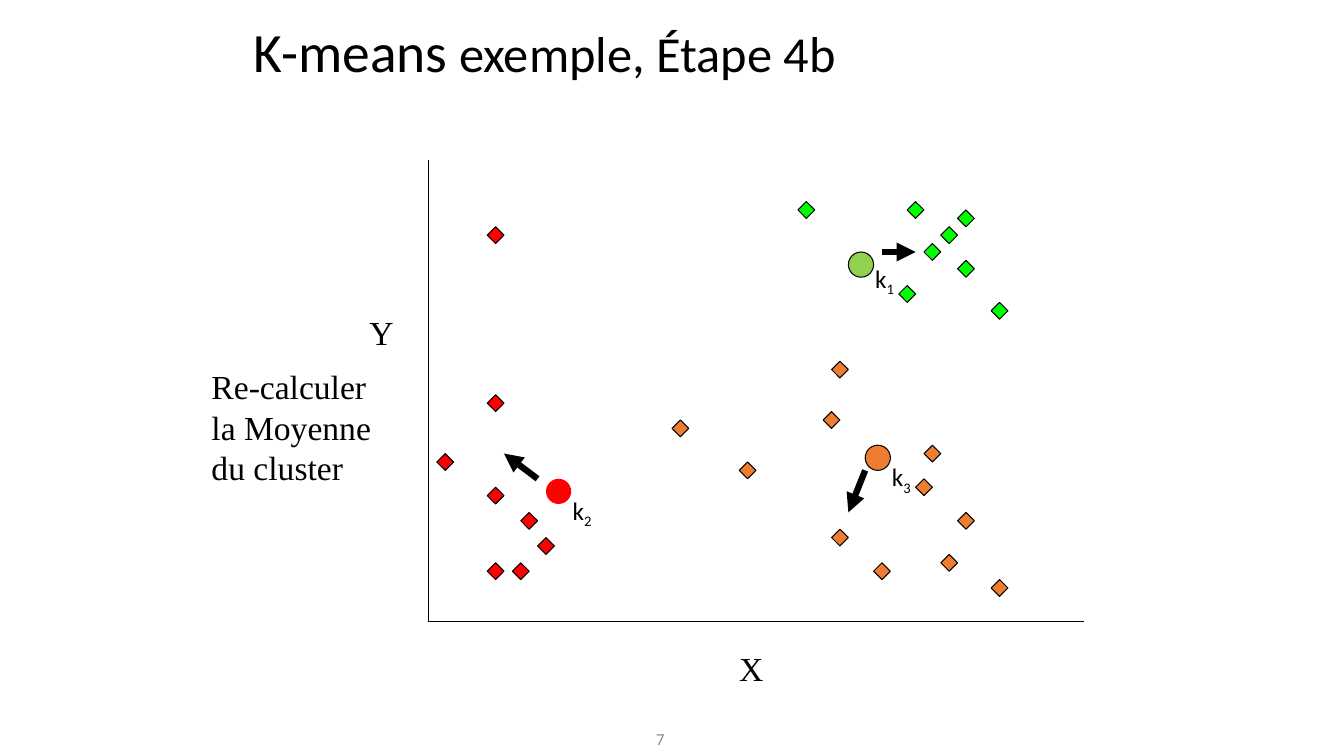
from lxml.etree import SubElement
from pptx import Presentation
from pptx.dml.color import RGBColor
from pptx.enum.shapes import MSO_CONNECTOR, MSO_SHAPE
from pptx.enum.text import MSO_ANCHOR as Anchor, MSO_AUTO_SIZE as AutoSize, PP_ALIGN as Align
from pptx.oxml.ns import qn
from pptx.util import Cm, Pt

BLACK = RGBColor(0x00, 0x00, 0x00)
GREY = RGBColor(0x8C, 0x8C, 0x8C)
RED = RGBColor(0xFF, 0x00, 0x00)
GREEN = RGBColor(0x00, 0xFF, 0x00)
LEAF = RGBColor(0x92, 0xD0, 0x50)
ORANGE = RGBColor(0xED, 0x7D, 0x31)

SANS = "Calibri"
SERIF = "Times New Roman"

# Positions are in grid steps, 12 steps to 2.54 cm.
CLUSTERS = {
    RED: [(62, 61), (64, 64), (61, 67), (58, 58), (58, 27), (58, 47), (58, 67), (52, 54)],
    GREEN: [(108, 24), (114, 25), (112, 27), (110, 29), (114, 31), (118, 36), (95, 24),
            (107, 34)],
    ORANGE: [(80, 50), (99, 43), (99, 63), (104, 67), (109, 57), (98, 49), (88, 55),
             (114, 61), (112, 66), (110, 53), (118, 69)],
}
# index, centre colour, outline, position, label height
CENTRES = [
    ("1", LEAF, BLACK, (101, 30), 4.8),
    ("3", ORANGE, BLACK, (103, 53), 6),
    ("2", RED, None, (65, 57), 6),
]
MOVES = [((64, 57), (60, 54)), ((103, 56), (101, 61)), ((105, 30), (109, 30))]
ORIGIN, Y_END, X_END = (51, 74), (51, 19), (129, 74)


def grid(*steps):
    return [Cm(2.54 * step / 12) for step in steps]


def write(paragraph, text, font=SANS, size=18, color=BLACK, subscript=False):
    run = paragraph.add_run()
    run.text = text
    run.font.name = font
    run.font.size = Pt(size)
    run.font.color.rgb = color
    if subscript:
        run._r.get_or_add_rPr().set("baseline", "-25000")


class ClusterSlide:
    def __init__(self, presentation):
        self.slide = presentation.slides.add_slide(presentation.slide_layouts[5])
        self.shapes = self.slide.shapes
        self.thin, self.thick = Pt(0.75), Pt(4.5)

    def title(self, box, parts):
        title = self.shapes.title
        title.left, title.top, title.width, title.height = grid(*box)
        frame = title.text_frame
        frame.auto_size = AutoSize.NONE
        frame.vertical_anchor = Anchor.MIDDLE
        paragraph = frame.paragraphs[0]
        paragraph.alignment = Align.LEFT
        paragraph.line_spacing = 0.9
        for text, size in parts:
            write(paragraph, text, size=size)

    def text(self, box, text, anchor=Anchor.TOP, align=Align.LEFT, wrap=True, **style):
        frame = self.shapes.add_textbox(*grid(*box)).text_frame
        frame.word_wrap = wrap
        frame.vertical_anchor = anchor
        paragraph = frame.paragraphs[0]
        paragraph.alignment = align
        write(paragraph, text, **style)
        return paragraph

    def marker(self, preset, position, size, fill, outline=BLACK):
        marker = self.shapes.add_shape(preset, *grid(*position, size, size))
        marker.shadow.inherit = False
        marker.fill.solid()
        marker.fill.fore_color.rgb = fill
        if outline is None:
            marker.line.fill.background()
        else:
            marker.line.color.rgb = outline
            marker.line.width = self.thin

    def line(self, start, end, arrow=False):
        line = self.shapes.add_connector(MSO_CONNECTOR.STRAIGHT, *grid(*start, *end))
        line.line.color.rgb = BLACK
        line.line.width = self.thick if arrow else self.thin
        if arrow:
            SubElement(line.line._get_or_add_ln(), qn("a:tailEnd"), type="triangle")
        SubElement(line._element.spPr, qn("a:effectLst"))

    def centre(self, index, fill, outline, position, label_height):
        """Draw a cluster centre with its k label at the lower right."""
        self.marker(MSO_SHAPE.OVAL, position, 3, fill, outline)
        x, y = position
        label = self.text((x + 2, y + 1, 7, label_height), "k", anchor=Anchor.MIDDLE)
        write(label, index, subscript=True)


def main():
    presentation = Presentation()
    presentation.slide_width, presentation.slide_height = grid(160, 90)
    page = ClusterSlide(presentation)

    page.title((29, 3, 107, 7), [("K-means", 39.6), (" exemple, Étape 4b", 36)])
    page.text((68, 86, 12.3, 4), "7", anchor=Anchor.MIDDLE, align=Align.RIGHT,
              size=12, color=GREY)

    for color, points in CLUSTERS.items():
        for point in points:
            page.marker(MSO_SHAPE.DIAMOND, point, 2, color)
    for start, end in MOVES:
        page.line(start, end, arrow=True)
    for axis_end in (Y_END, X_END):
        page.line(ORIGIN, axis_end)

    page.text((86.8, 76.6, 5.3, 6), "X", wrap=False, font=SERIF, size=24)
    page.text((42.8, 36.6, 5.3, 6), "Y", wrap=False, font=SERIF, size=24)
    page.text((24, 43, 24, 15.7), "Re-calculer la Moyenne du cluster", font=SERIF, size=24)
    for centre in CENTRES:
        page.centre(*centre)

    presentation.save("out.pptx")


if __name__ == "__main__":
    main()
